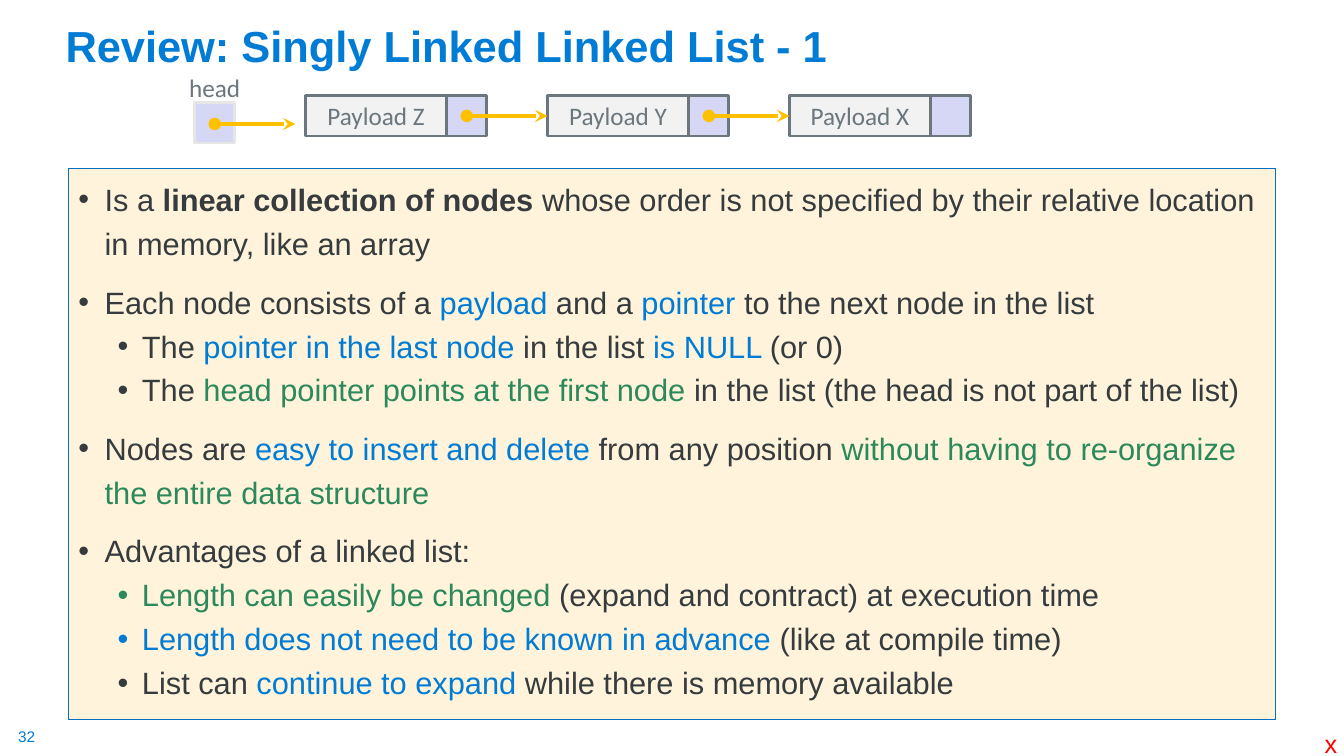
import pptx
import pptx.dml.color
import pptx.enum.shapes
import pptx.enum.text
import pptx.oxml
import pptx.oxml.ns
import pptx.util
from lxml import etree

Inches = pptx.util.Inches
Pt = pptx.util.Pt
ALIGN = pptx.enum.text.PP_ALIGN
ANCHOR = pptx.enum.text.MSO_ANCHOR
COLORS = {
    "blue": "007CD5", "green": "2C895B", "ink": "363B3E", "cream": "FFF4DB",
    "border": "0070C0", "gray": "6B767D", "payload": "F2F2F2", "pointer": "D6D6F5",
    "pale": "E7E6E6", "arrow": "FFC000", "red": "FF0000",
}
CELL = 0.4
PAYLOAD_WIDTH = 1.4
NODE_PITCH = 2.4
ARROW_LENGTH = 0.8

# Each point: level, then spans of text with a style (a colour name or "bold").
POINTS = [
    (0, [("Is a ", "ink"), ("linear collection of nodes ", "bold"),
         ("whose order is not specified by their relative location in memory, like an array", "ink")]),
    (0, [("Each node consists of a ", "ink"), ("payload", "blue"), (" and a ", "ink"),
         ("pointer", "blue"), (" to the next node in the list", "ink")]),
    (1, [("The ", "ink"), ("pointer in the last node ", "blue"), ("in the list ", "ink"),
         ("is NULL ", "blue"), ("(or 0)", "ink")]),
    (1, [("The ", "ink"), ("head pointer points at the first node ", "green"),
         ("in the list (the head is not part of the list)", "ink")]),
    (0, [("Nodes are ", "ink"), ("easy to insert and delete ", "blue"),
         ("from any position ", "ink"),
         ("without having to re-organize the entire data structure", "green")]),
    (0, [("Advantages of a linked list:", "ink")]),
    (1, [("Length can easily be changed ", "green"),
         ("(expand and contract) at execution time", "ink")]),
    (1, [("Length does not need to be known in advance ", "blue"),
         ("(like at compile time)", "ink")]),
    (1, [("List can ", "ink"), ("continue to expand ", "blue"),
         ("while there is memory available", "ink")]),
]


def rgb(name):
    return pptx.dml.color.RGBColor.from_string(COLORS[name])


def style_font(font, size, color, name="Arial", bold=False):
    font.size = Pt(size)
    font.name = name
    font.bold = bold
    font.color.rgb = rgb(color)


def add_label(page, box, text, size, color, name="Arial", align=ALIGN.LEFT, inset=0.05, wrap=True):
    frame = page.shapes.add_textbox(*map(Inches, box)).text_frame
    frame.word_wrap = wrap
    frame.margin_left = frame.margin_right = Inches(2 * inset)
    frame.margin_top = frame.margin_bottom = Inches(inset)
    paragraph = frame.paragraphs[0]
    paragraph.text = text
    paragraph.alignment = align
    style_font(paragraph.font, size, color, name)


def add_rectangle(page, box, fill, line, weight):
    shape = page.shapes.add_shape(pptx.enum.shapes.MSO_SHAPE.RECTANGLE, *map(Inches, box))
    shape.shadow.inherit = False
    shape.fill.solid()
    shape.fill.fore_color.rgb = rgb(fill)
    shape.line.color.rgb = rgb(line)
    shape.line.width = Pt(weight)
    return shape


def add_pointer(page, left, top):
    """Draw an arrow that starts with a dot and runs to the right."""
    arrow = page.shapes.add_connector(
        pptx.enum.shapes.MSO_CONNECTOR.STRAIGHT,
        *map(Inches, (left, top, left + ARROW_LENGTH, top)))
    arrow.line.color.rgb = rgb("arrow")
    arrow.line.width = Pt(3)
    line = arrow.line._get_or_add_ln()
    for tag, kind in (("a:headEnd", "oval"), ("a:tailEnd", "stealth")):
        etree.SubElement(line, pptx.oxml.ns.qn(tag), type=kind)
    etree.SubElement(arrow._element.spPr, pptx.oxml.ns.qn("a:effectLst"))


def add_title(page, box, text):
    title = page.shapes.title
    title.left, title.top, title.width, title.height = map(Inches, box)
    frame = title.text_frame
    frame.text = text
    frame.vertical_anchor = ANCHOR.BOTTOM
    paragraph = frame.paragraphs[0]
    paragraph.alignment = ALIGN.LEFT
    paragraph.line_spacing = 0.9
    style_font(paragraph.font, 31, "blue", bold=True)


def add_head(page, left, top):
    add_label(page, (left - 0.2, top - 0.35, 0.8, CELL), "head", 18, "gray", "Calibri", ALIGN.CENTER)
    add_rectangle(page, (left, top, CELL, CELL), "pointer", "pale", 2)
    add_pointer(page, left + CELL / 2, top + 0.21)


def add_nodes(page, left, top, payloads):
    lefts = [left + index * NODE_PITCH for index in range(len(payloads))]
    for node_left, payload in zip(lefts, payloads):
        node = add_rectangle(page, (node_left, top, PAYLOAD_WIDTH, CELL), "payload", "gray", 2)
        node.text_frame.text = f"Payload {payload}"
        paragraph = node.text_frame.paragraphs[0]
        paragraph.alignment = ALIGN.CENTER
        style_font(paragraph.font, 18, "gray", "Calibri")
        add_rectangle(page, (node_left + PAYLOAD_WIDTH, top, CELL, CELL), "pointer", "gray", 2)
    for node_left in lefts[:-1]:
        add_pointer(page, node_left + PAYLOAD_WIDTH + CELL / 2, top + CELL / 2)


def add_bullet(paragraph, indent, hanging):
    properties = paragraph._p.get_or_add_pPr()
    properties.set("marL", str(Inches(indent)))
    properties.set("indent", str(-Inches(hanging)))
    etree.SubElement(properties, pptx.oxml.ns.qn("a:buFont"), typeface="Arial")
    etree.SubElement(properties, pptx.oxml.ns.qn("a:buChar"), char="•")


def add_points(page, box, points):
    panel = add_rectangle(page, box, "cream", "border", 0.75)
    frame = panel.text_frame
    frame.word_wrap = True
    frame.vertical_anchor = ANCHOR.TOP
    for index, (level, spans) in enumerate(points):
        paragraph = frame.add_paragraph() if index else frame.paragraphs[0]
        paragraph.level = level
        paragraph.alignment = ALIGN.LEFT
        paragraph.line_spacing = 1.0 if level else 1.2
        paragraph.space_before = Pt(0 if index == 0 else 5 if level else 10)
        add_bullet(paragraph, *((0.63, 0.24) if level else (0.26, 0.26)))
        for text, style in spans:
            span = paragraph.add_run()
            span.text = text
            bold = style == "bold"
            style_font(span.font, 22, "ink" if bold else style, bold=bold)


def main():
    deck = pptx.Presentation()
    deck.slide_width, deck.slide_height = Inches(13.33), Inches(7.5)
    page = deck.slides.add_slide(deck.slide_layouts.get_by_name("Title Only"))
    add_title(page, (0.55, 0.13, 11.5, 0.63), "Review: Singly Linked Linked List - 1")
    add_points(page, (0.68, 1.67, 11.97, 5.47), POINTS)
    add_nodes(page, 3.03, 0.95, "ZYX")
    add_head(page, 1.93, 1.02)
    add_label(page, (0.18, 7.21, 0.19, 0.19), "32", 11, "blue", inset=0, wrap=False)
    add_label(page, (13.04, 7.18, 0.33, 0.4), "x", 18, "red", wrap=False)
    deck.save("out.pptx")


if __name__ == "__main__":
    main()
